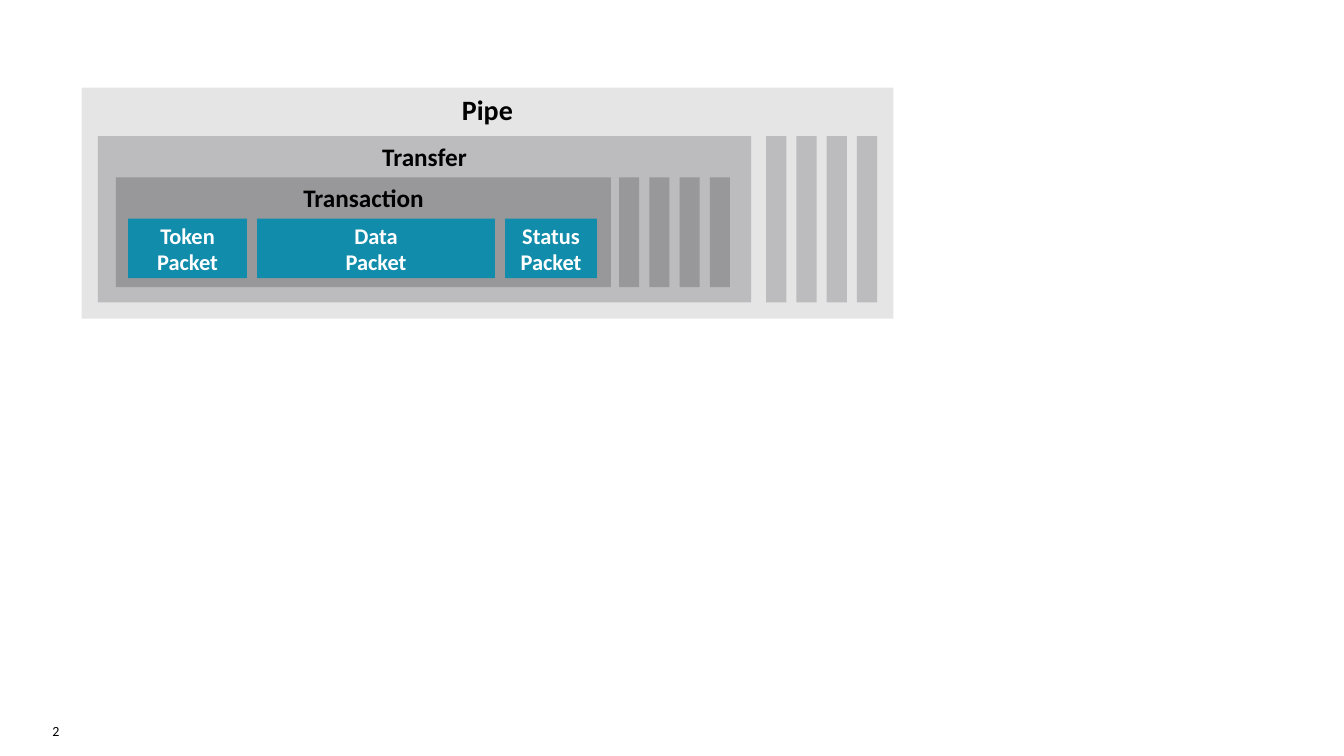
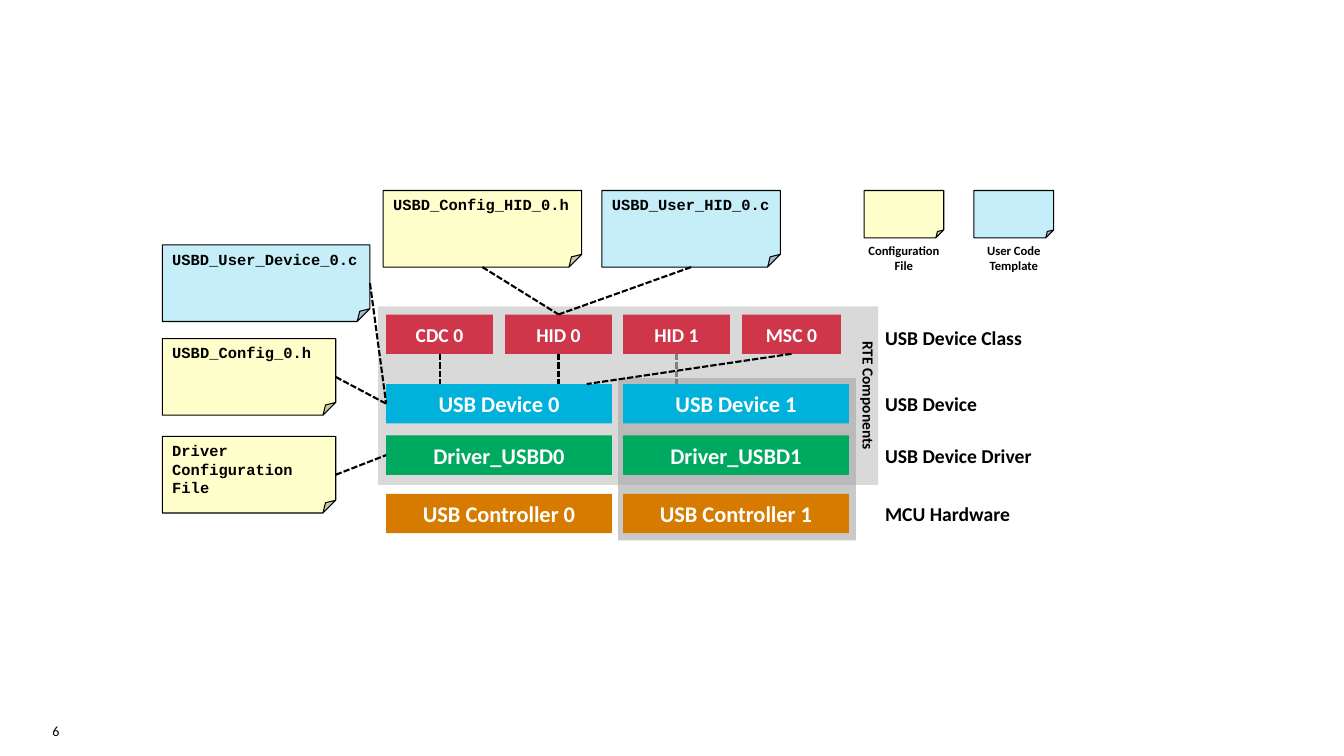
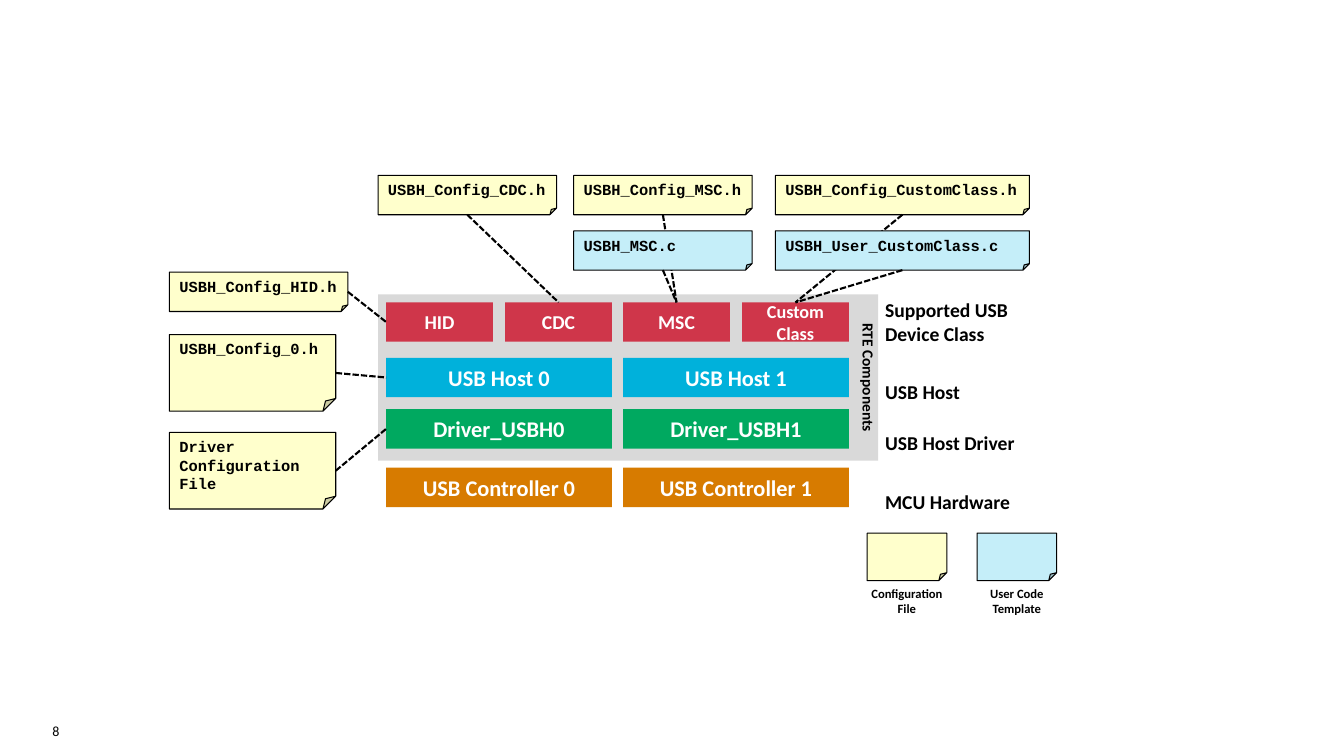
import lxml.etree
import pptx
import pptx.dml.color
import pptx.enum.dml
import pptx.enum.shapes
import pptx.enum.text
import pptx.oxml.ns
import pptx.util

Inches = pptx.util.Inches
Pt = pptx.util.Pt
RGBColor = pptx.dml.color.RGBColor
qn = pptx.oxml.ns.qn
FORM = pptx.enum.shapes.MSO_SHAPE
ALIGN = pptx.enum.text.PP_ALIGN
ANCHOR = pptx.enum.text.MSO_ANCHOR

# Colours and fonts
BLACK = RGBColor(0x00, 0x00, 0x00)
WHITE = RGBColor(0xFF, 0xFF, 0xFF)
GREY = RGBColor(0x80, 0x80, 0x82)
FAINT = RGBColor(0x80, 0x80, 0x80)
PANEL = RGBColor(0xD9, 0xD9, 0xD9)
SHADE = RGBColor(0xA6, 0xA6, 0xA6)
TEAL = RGBColor(0x12, 0x8C, 0xAB)
RED = RGBColor(0xCF, 0x36, 0x4A)
BLUE = RGBColor(0x00, 0xB1, 0xDB)
GREEN = RGBColor(0x00, 0xA9, 0x60)
ORANGE = RGBColor(0xD7, 0x7B, 0x00)
CREAM = RGBColor(0xFF, 0xFF, 0xCC)
SKY = RGBColor(0xC5, 0xEE, 0xF9)
SANS = "Calibri"
MONO = "Courier New"

# Connection sites
TOP, LEFT, BOTTOM, RIGHT = range(4)

# Shared grid of the two stack slides
COLS = (3.83, 6.18)
CELLS = (3.83, 5.01, 6.18, 7.36)
ROWS = ((0, BLUE), (0.51, GREEN), (1.09, ORANGE))
ROW_H = 0.39


def write(shape, text, size, color=BLACK, font=SANS, bold=True,
          align=ALIGN.CENTER, anchor=ANCHOR.TOP, pads=(0.1, 0.05, 0.1, 0.05),
          wrap=True):
    """Fill a shape with text, one paragraph per line."""
    frame = shape.text_frame
    frame.word_wrap = wrap
    frame.vertical_anchor = anchor
    (frame.margin_left, frame.margin_top,
     frame.margin_right, frame.margin_bottom) = map(Inches, pads)
    for i, line in enumerate(text.split("\n")):
        para = frame.add_paragraph() if i else frame.paragraphs[0]
        para.alignment = align
        run = para.add_run()
        run.text = line
        run.font.name = font
        run.font.size = Pt(size)
        run.font.bold = bold
        run.font.color.rgb = color


def box(slide, x, y, w, h, fill, alpha=100, form=FORM.RECTANGLE):
    """Add a flat filled shape, see-through when alpha is below 100."""
    shape = slide.shapes.add_shape(
        form, Inches(x), Inches(y), Inches(w), Inches(h))
    shape.shadow.inherit = False
    if form == FORM.ROUNDED_RECTANGLE:
        shape.adjustments[0] = 0
    shape.fill.solid()
    shape.fill.fore_color.rgb = fill
    shape.line.fill.background()
    if alpha < 100:
        tint = shape.element.spPr.find(".//" + qn("a:srgbClr"))
        lxml.etree.SubElement(tint, qn("a:alpha"), val=str(alpha * 1000))
    return shape


def block(slide, x, y, w, text, fill, size=16, **style):
    shape = box(slide, x, y, w, ROW_H, fill, form=FORM.ROUNDED_RECTANGLE)
    write(shape, text, size, WHITE, anchor=ANCHOR.MIDDLE, **style)
    return shape


def note(slide, x, y, w, h, fill, text=""):
    """Add a sheet with a folded corner."""
    shape = box(slide, x, y, w, h, fill, form=FORM.FOLDED_CORNER)
    shape.line.color.rgb = BLACK
    shape.line.width = Pt(0.75)
    if text:
        write(shape, text, 11, font=MONO, align=ALIGN.LEFT)
    return shape


def label(slide, x, y, w, h, text, size, **style):
    shape = slide.shapes.add_textbox(
        Inches(x), Inches(y), Inches(w), Inches(h))
    write(shape, text, size, **style)


def link(slide, start, side, goal, end=None, color=BLACK):
    """Draw a dashed line from a shape to a shape side or a point."""
    spot = (0, 0) if end is not None else goal
    line = slide.shapes.add_connector(
        pptx.enum.shapes.MSO_CONNECTOR.STRAIGHT, 0, 0, *map(Inches, spot))
    line.begin_connect(start, side)
    if end is not None:
        line.end_connect(goal, end)
    line.line.color.rgb = color
    line.line.width = Pt(1.5)
    line.line.dash_style = pptx.enum.dml.MSO_LINE.SQUARE_DOT
    lxml.etree.SubElement(line.element.spPr, qn("a:effectLst"))


def page(deck, number):
    """Add a blank slide with its page number."""
    slide = deck.slides.add_slide(deck.slide_layouts[6])
    label(slide, 0.52, 7.17, 1.43, 0.26, number, 10, bold=False,
          align=ALIGN.LEFT, pads=(0, 0, 0.1, 0))
    return slide


def panel(slide, y, h):
    shape = box(slide, 3.75, y, 4.96, h, PANEL, form=FORM.ROUNDED_RECTANGLE)
    write(shape, "RTE Components", 11, pads=(0, 0, 0, 0))
    shape.text_frame._txBody.bodyPr.set("vert", "vert")


def stack(slide, y, names, drop):
    """Add the rows of paired blocks and their labels; return the blocks."""
    found = {}
    for (step, fill), (name, title) in zip(ROWS, names):
        for i, x in enumerate(COLS):
            text = name + str(i)
            found[text] = block(slide, x, y + step, 2.24, text, fill)
        label(slide, 8.68, y + step + drop, 1.97, 0.34, title, 14,
              align=ALIGN.LEFT)
    return found


def classes(slide, y, items):
    """Add the row of device classes; return the blocks."""
    return {
        text: block(slide, x, y, w, text, RED, size, wrap=False,
                    pads=(0.04,) * 4)
        for x, (text, w, size) in zip(CELLS, items)}


def notes(slide, items, blocks):
    """Add file sheets, each linked to its block."""
    for x, y, w, h, fill, text, side, goal in items:
        sheet = note(slide, x, y, w, h, fill, text)
        end = TOP if side == BOTTOM else LEFT
        link(slide, sheet, side, blocks[goal], end)


def legend(slide, x, y):
    items = ((CREAM, "Configuration\nFile"), (SKY, "User Code\nTemplate"))
    for i, (fill, text) in enumerate(items):
        left = x + i * 1.09
        note(slide, left, y, 0.79, 0.47, fill)
        label(slide, left - 0.12, y + 0.47, 1.03, 0.4, text, 9)


def pipe(deck):
    """Nested layers of a pipe."""
    slide = page(deck, "2")
    layers = ((0.81, 0.87, 8.05, 2.29, 20, "Pipe", 20),
              (0.97, 1.35, 6.48, 1.65, 40, "Transfer", 18),
              (1.15, 1.76, 4.91, 1.09, 60, "Transaction", 18))
    for x, y, w, h, alpha, text, size in layers:
        write(box(slide, x, y, w, h, GREY, alpha), text, size)
    # Packets
    for x, w, text in ((1.27, 1.18, "Token"), (2.55, 2.36, "Data"),
                       (5.01, 0.91, "Status")):
        write(box(slide, x, 2.17, w, 0.59, TEAL), text + "\nPacket", 16,
              WHITE, anchor=ANCHOR.MIDDLE)
    # Further transactions and transfers
    for x, y, h, alpha in ((6.14, 1.76, 1.09, 60), (7.6, 1.35, 1.65, 40)):
        for i in range(4):
            box(slide, x + i * 0.3, y, 0.2, h, GREY, alpha)


def device(deck):
    """Device stack."""
    slide = page(deck, "6")
    panel(slide, 3.04, 1.77)
    box(slide, 6.13, 3.75, 2.36, 1.61, SHADE, 60, FORM.ROUNDED_RECTANGLE)
    blocks = stack(slide, 3.81, (
        ("USB Device ", "USB Device"),
        ("Driver_USBD", "USB Device Driver"),
        ("USB Controller ", "MCU Hardware")), 0.03)
    blocks.update(classes(slide, 3.12, (
        ("CDC 0", 1.06, 14), ("HID 0", 1.06, 14),
        ("HID 1", 1.06, 14), ("MSC 0", 0.98, 14))))
    label(slide, 8.68, 3.18, 1.97, 0.34, "USB Device Class", 14,
          align=ALIGN.LEFT)
    # Classes to devices
    for name, x, color in (("CDC 0", 4.36, BLACK), ("HID 0", 5.54, BLACK),
                           ("HID 1", 6.71, FAINT), ("MSC 0", 5.82, BLACK)):
        link(slide, blocks[name], BOTTOM, (x, 3.81), color=color)
    notes(slide, (
        (1.61, 3.36, 1.72, 0.76, CREAM, "USBD_Config_0.h",
         RIGHT, "USB Device 0"),
        (1.61, 4.33, 1.72, 0.76, CREAM, "Driver Configuration File",
         RIGHT, "Driver_USBD0"),
        (3.8, 1.89, 1.97, 0.76, CREAM, "USBD_Config_HID_0.h",
         BOTTOM, "HID 0"),
        (5.97, 1.89, 1.77, 0.76, SKY, "USBD_User_HID_0.c",
         BOTTOM, "HID 0"),
        (1.61, 2.43, 2.06, 0.76, SKY, "USBD_User_Device_0.c",
         RIGHT, "USB Device 0")), blocks)
    legend(slide, 8.57, 1.89)


def host(deck):
    """Host stack."""
    slide = page(deck, "8")
    panel(slide, 2.92, 1.65)
    blocks = stack(slide, 3.55, (
        ("USB Host ", "USB Host"),
        ("Driver_USBH", "USB Host Driver"),
        ("USB Controller ", "MCU Hardware")), 0.17)
    blocks.update(classes(slide, 3, (
        ("HID", 1.06, 14), ("CDC", 1.06, 14),
        ("MSC", 1.06, 14), ("Custom\nClass", 1.06, 13))))
    label(slide, 8.68, 2.91, 1.97, 0.57, "Supported USB Device Class", 14,
          align=ALIGN.LEFT)
    notes(slide, (
        (1.68, 3.32, 1.65, 0.76, CREAM, "USBH_Config_0.h",
         RIGHT, "USB Host 0"),
        (1.68, 4.29, 1.65, 0.76, CREAM, "Driver Configuration File",
         RIGHT, "Driver_USBH0"),
        (1.68, 2.7, 1.77, ROW_H, CREAM, "USBH_Config_HID.h",
         RIGHT, "HID"),
        (7.69, 1.74, 2.52, ROW_H, CREAM, "USBH_Config_CustomClass.h",
         BOTTOM, "Custom\nClass"),
        (7.69, 2.29, 2.52, ROW_H, SKY, "USBH_User_CustomClass.c",
         BOTTOM, "Custom\nClass"),
        (5.69, 1.74, 1.77, ROW_H, CREAM, "USBH_Config_MSC.h",
         BOTTOM, "MSC"),
        (5.69, 2.29, 1.77, ROW_H, SKY, "USBH_MSC.c",
         BOTTOM, "MSC"),
        (3.75, 1.74, 1.77, ROW_H, CREAM, "USBH_Config_CDC.h",
         BOTTOM, "CDC")), blocks)
    legend(slide, 8.6, 5.29)


def main():
    deck = pptx.Presentation()
    deck.slide_width = Inches(13.33)
    deck.slide_height = Inches(7.5)
    pipe(deck)
    device(deck)
    host(deck)
    deck.save("out.pptx")


if __name__ == "__main__":
    main()
